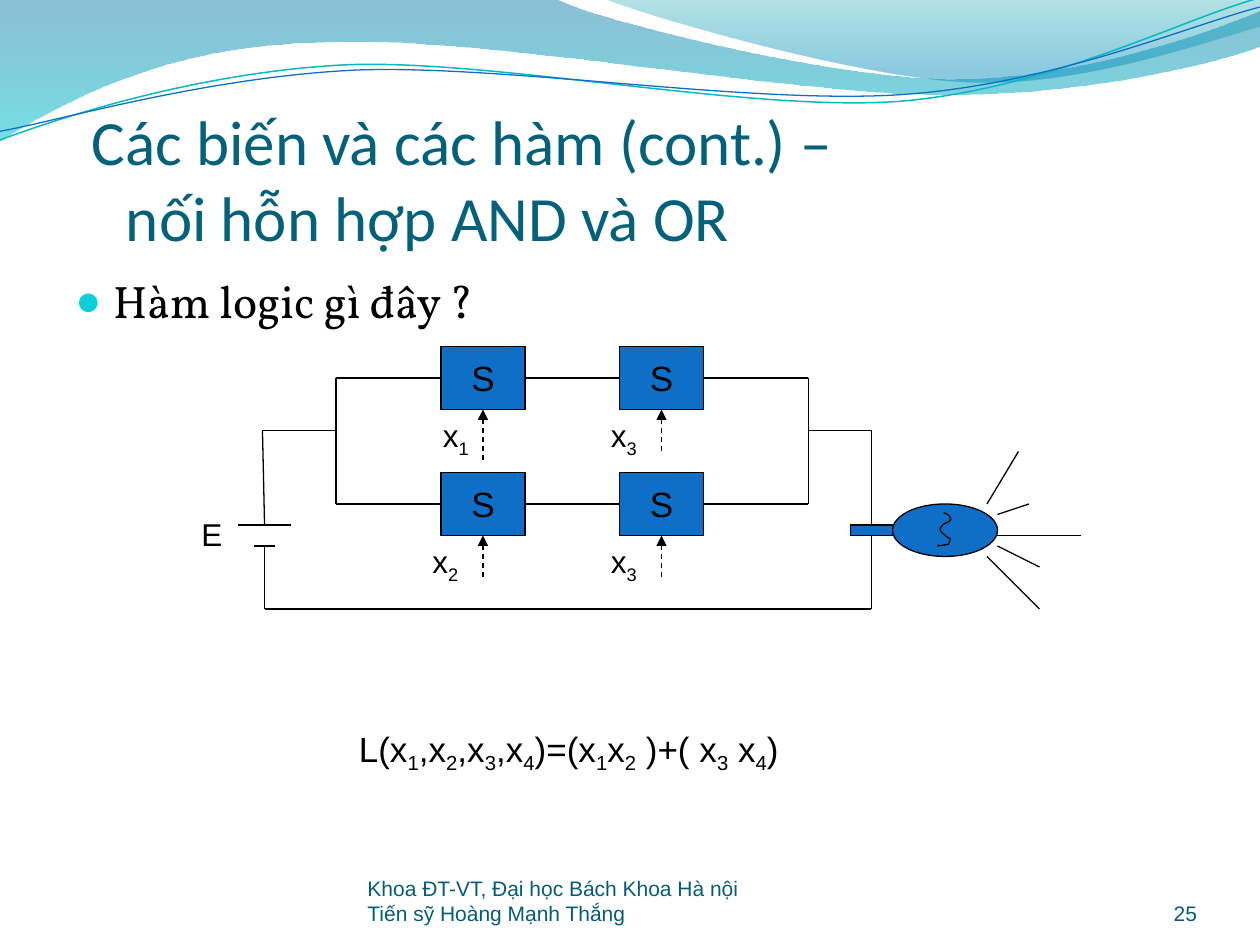
from lxml.etree import SubElement
from pptx import Presentation
from pptx.dml.color import RGBColor
from pptx.enum.dml import MSO_LINE
from pptx.enum.shapes import MSO_CONNECTOR, MSO_SHAPE
from pptx.enum.text import MSO_ANCHOR as ANCHOR, PP_ALIGN as ALIGN
from pptx.oxml.ns import qn
from pptx.util import Pt

BLACK = RGBColor(0x00, 0x00, 0x00)
BLUE = RGBColor(0x0F, 0x6F, 0xC6)
TEAL = RGBColor(0x0A, 0xB8, 0xBF)
TITLE = RGBColor(0x04, 0x61, 0x7B)
NUMBER = RGBColor(0x04, 0x5C, 0x75)
FOOTER = RGBColor(0x04, 0x5D, 0x75)
BULLET = RGBColor(0x0B, 0xD0, 0xD9)
WAVE_LEFT = ((RGBColor(0x00, 0x74, 0xA1), 0, 45), (RGBColor(0x00, 0xC6, 0xCF), 1, 55))
WAVE_RIGHT = ((RGBColor(0x00, 0xA1, 0xA9), 0, 30), (RGBColor(0x00, 0x8B, 0xBF), 0.8, 45))
TOP, LEFT, BOTTOM, RIGHT = range(4)


class Slide:
    def __init__(self, prs):
        self.s = prs.slides.add_slide(prs.slide_layouts[6])
        self.font = "Arial"

    def outline(self, line, color, width):
        line.color.rgb = color
        line.width = Pt(width)

    def runs(self, p, text, size, color, font=None):
        """Add runs; an underscore makes the next character a subscript."""
        first, *rest = text.split("_")
        parts = [(first, False)]
        for part in rest:
            parts += [(part[0], True), (part[1:], False)]
        for value, sub in parts:
            if not value:
                continue
            r = p.add_run()
            r.text = value
            r.font.size = Pt(size)
            r.font.name = font or self.font
            r.font.color.rgb = color
            if sub:
                r.font._element.set("baseline", "-25000")

    def text(self, x, y, w, h, lines, size, color=BLACK, font=None, anchor=ANCHOR.TOP,
             align=ALIGN.LEFT, wrap=True, insets=None, margin=0, indent=0, tab=None, bullet=None):
        tf = self.s.shapes.add_textbox(Pt(x), Pt(y), Pt(w), Pt(h)).text_frame
        tf.word_wrap = wrap
        tf.vertical_anchor = anchor
        if insets:
            tf.margin_left, tf.margin_top, tf.margin_right, tf.margin_bottom = map(Pt, insets)
        p = tf.paragraphs[0]
        p.alignment = align
        pPr = p._p.get_or_add_pPr()
        pPr.set("marL", str(Pt(margin)))
        pPr.set("indent", str(Pt(indent)))
        if bullet:
            SubElement(SubElement(pPr, qn("a:buClr")), qn("a:srgbClr"), val=str(BULLET))
            SubElement(pPr, qn("a:buSzPct"), val="95000")
            SubElement(pPr, qn("a:buFont"), typeface=self.font)
            SubElement(pPr, qn("a:buChar"), char=bullet)
        if tab:
            SubElement(SubElement(pPr, qn("a:tabLst")), qn("a:tab"), pos=str(Pt(tab)), algn="l")
        for i, line in enumerate(lines):
            if i:
                p.add_line_break()
            self.runs(p, line, size, color, font)

    def shape(self, kind, x, y, w, h, label=None):
        sp = self.s.shapes.add_shape(kind, Pt(x), Pt(y), Pt(w), Pt(h))
        sp.shadow.inherit = False
        sp.fill.solid()
        sp.fill.fore_color.rgb = BLUE
        self.outline(sp.line, BLACK, 0.75)
        if label:
            tf = sp.text_frame
            tf.word_wrap = False
            tf.vertical_anchor = ANCHOR.MIDDLE
            tf.paragraphs[0].alignment = ALIGN.CENTER
            self.runs(tf.paragraphs[0], label, 20, BLACK)
        return sp

    def wire(self, start, end, width=0.75, arrow=False):
        """Each end is a point (x, y) or a joint (shape, side)."""
        free = [isinstance(e[0], (int, float)) for e in (start, end)]
        a, b = (e if f else (0, 0) for e, f in zip((start, end), free))
        c = self.s.shapes.add_connector(MSO_CONNECTOR.STRAIGHT, *map(Pt, (*a, *b)))
        if not free[0]:
            c.begin_connect(*start)
        if not free[1]:
            c.end_connect(*end)
        self.outline(c.line, BLACK, width)
        if arrow:
            c.line.dash_style = MSO_LINE.DASH
            SubElement(c.line._get_or_add_ln(), qn("a:headEnd"), type="triangle")
        SubElement(c._element.spPr, qn("a:effectLst"))

    def curve(self, start, segments, color=BLACK, width=0.75, gradient=None):
        """A segment is a line (x, y) or a cubic curve of six numbers."""
        pts = [(Pt(x), Pt(y)) for seg in segments for x, y in zip(seg[::2], seg[1::2])]
        fb = self.s.shapes.build_freeform(*map(Pt, start))
        fb.add_line_segments(pts, close=bool(gradient))
        sp = fb.convert_to_shape()
        # Join each three line steps of a curve into one cubic step
        steps = iter(list(sp._element.iter(qn("a:lnTo"))))
        for seg in segments:
            step = next(steps)
            if len(seg) == 6:
                step.tag = qn("a:cubicBezTo")
                for extra in (next(steps), next(steps)):
                    step.append(extra[0])
                    extra.getparent().remove(extra)
        sp.shadow.inherit = False
        if not gradient:
            sp.fill.background()
            self.outline(sp.line, color, width)
            return
        sp.line.fill.background()
        sp.fill.gradient()
        sp.fill.gradient_angle = 270
        for stop, (rgb, position, _) in zip(sp.fill.gradient_stops, gradient):
            stop.color.rgb = rgb
            stop.position = position
        colors = list(sp._element.spPr.iter(qn("a:srgbClr")))
        for clr, (_, _, alpha) in zip(colors, gradient):
            SubElement(clr, qn("a:alpha"), val=str(alpha * 1000))


def main():
    prs = Presentation()
    prs.slide_width, prs.slide_height = Pt(720), Pt(540)
    s = Slide(prs)

    # Wave header
    s.curve((0, -1), [(317, -1), (343, 12, 478, 45, 546, 45), (614, 45, 690, 19, 720, 6),
                      (721, 26), (708, 32, 626, 55, 537, 54), (448, 54, 275, 20, 185, 24),
                      (93, 25, 33, 60, -1, 81)], gradient=WAVE_LEFT)
    s.curve((345, -1), [(366, 8, 491, 45, 554, 47), (616, 50, 692, 23, 720, 15), (720, 0)],
            gradient=WAVE_RIGHT)
    s.curve((0, 80), [(35, 67, 114, 41, 199, 37), (284, 34, 427, 64, 513, 58),
                      (600, 51, 675, 11, 719, -1)], TEAL, 0.85)
    s.curve((0, 75), [(34, 69, 118, 44, 204, 40), (290, 37, 430, 60, 516, 54),
                      (602, 48, 678, 15, 720, 4)], BLUE)

    # Title and question
    s.text(36, 55.2, 648, 90, ["Các biến và các hàm (cont.) –", "\tnối hỗn hợp AND và OR"], 36,
           TITLE, "Calibri", ANCHOR.BOTTOM, insets=(0, 3.6, 0, 0), indent=16.4, tab=144)
    s.text(36, 152.5, 648, 345.5, ["Hàm logic gì đây ?"], 26, font="Vollkorn",
           margin=21.6, indent=-21.6, bullet="●")

    # Two parallel branches of switches in series
    bus_left, bus_right, feed_y, bottom_y = 192, 462, 246, 348
    branches = ((216, (("x_1", 246, 264), ("x_3", 342, 258))),
                (288, (("x_2", 240, 330), ("x_3", 342, 330))))
    for y, inputs in branches:
        previous = (bus_left, y)
        for x, (name, name_x, tail_y) in zip((252, 354), inputs):
            switch = s.shape(MSO_SHAPE.RECTANGLE, x, y - 18, 48, 36, "S")
            s.wire(previous, (switch, LEFT))
            s.wire((switch, BOTTOM), (x + 24, tail_y), arrow=True)
            s.text(name_x, y + 18, 30, 29, [name], 18, wrap=False)
            previous = (switch, RIGHT)
        s.wire(previous, (bus_right, y))
    for x in (bus_left, bus_right):
        s.wire((x, 288), (x, 216))

    # Battery
    s.wire((136.2, 300), (166.2, 300), 1.5)
    s.wire((145.2, 312), (157.2, 312), 1.5)
    s.wire((150, feed_y), (151.2, 300))
    s.wire((bus_left, feed_y), (150, feed_y))
    s.wire((151.2, 312), (151.2, bottom_y))
    s.text(108, 291, 27, 29, ["E"], 18, wrap=False)

    # Lamp with its filament and rays
    s.shape(MSO_SHAPE.OVAL, 510, 288, 60, 30)
    base = s.shape(MSO_SHAPE.RECTANGLE, 486, 300, 24, 6)
    s.curve((539.3, 293), [(540.7, 293.8, 542.2, 293.8, 542.9, 295.2),
                           (545, 298, 540, 298.8, 539.3, 299.5),
                           (537.8, 300.2, 537.8, 301.7, 537.1, 302.4),
                           (537.8, 303.1, 537.8, 304.6, 539.3, 305.3),
                           (543.6, 309.6, 543.6, 305.3, 542.2, 311),
                           (537.1, 311.8, 539.3, 311.8, 535.7, 311.8)])
    for x1, y1, x2, y2 in ((564, 288, 582, 258), (570, 294, 588, 288), (570, 306, 618, 306),
                           (570, 312, 594, 324), (564, 318, 594, 348)):
        s.wire((x1, y1), (x2, y2))

    # Return circuit
    s.wire((498, feed_y), (bus_right, feed_y))
    s.wire((498, feed_y), (base, TOP))
    s.wire((base, BOTTOM), (498, bottom_y))
    s.wire((151.2, bottom_y), (498, bottom_y))

    # Formula
    s.text(162, 412, 296, 31, ["L(x_1,x_2,x_3,x_4)=(x_1x_2 )+( x_3 x_4)"], 20, margin=36)

    # Footer
    none = (0, 0, 0, 0)
    s.text(624, 500.5, 60, 28.5, ["25"], 12, NUMBER, anchor=ANCHOR.BOTTOM,
           align=ALIGN.RIGHT, insets=none)
    s.text(210, 500.5, 264, 28.5,
           ["Khoa ĐT-VT, Đại học Bách Khoa Hà nội", "Tiến sỹ Hoàng Mạnh Thắng"], 12, FOOTER,
           anchor=ANCHOR.BOTTOM, insets=none)

    prs.save("out.pptx")


if __name__ == "__main__":
    main()
